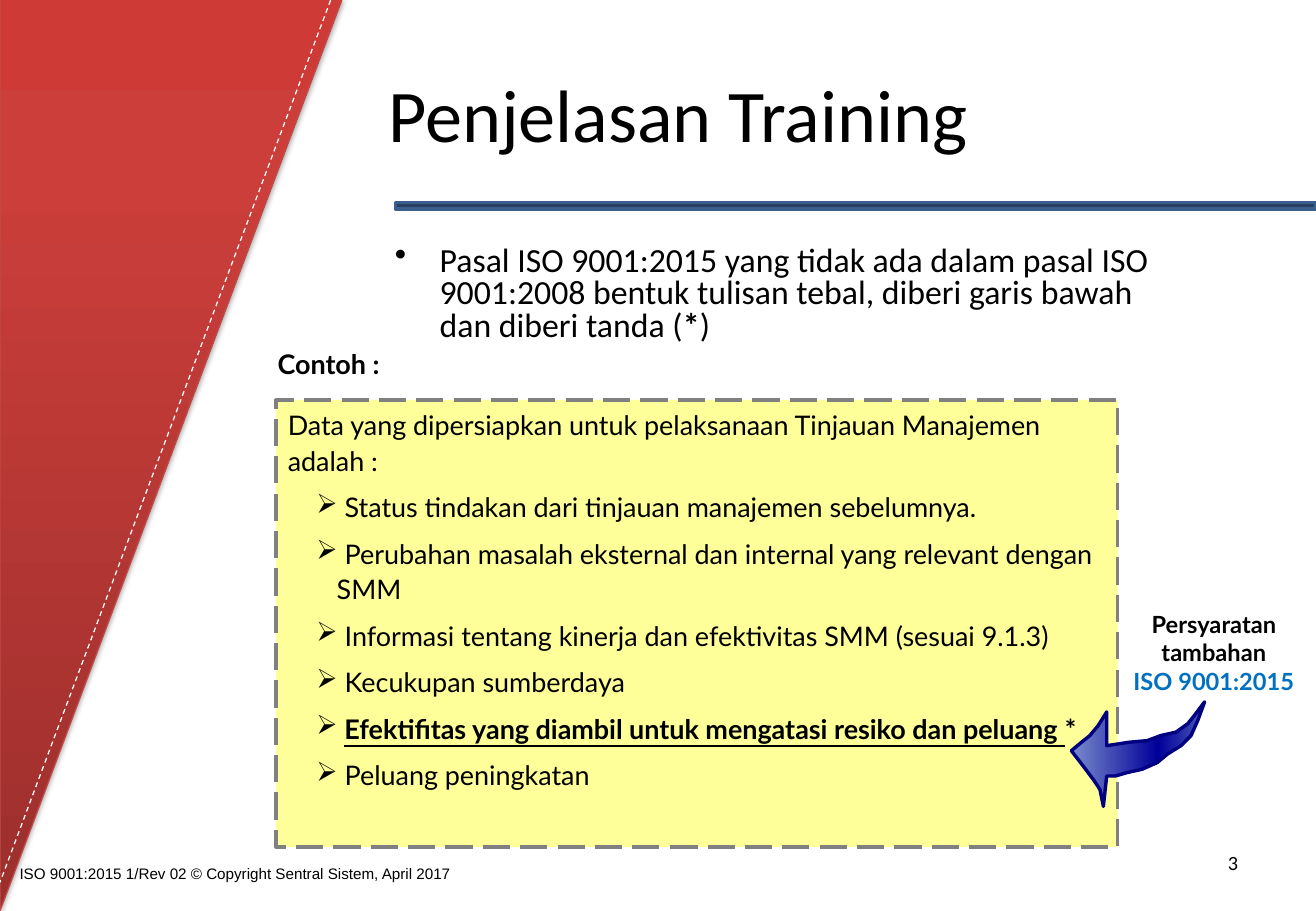
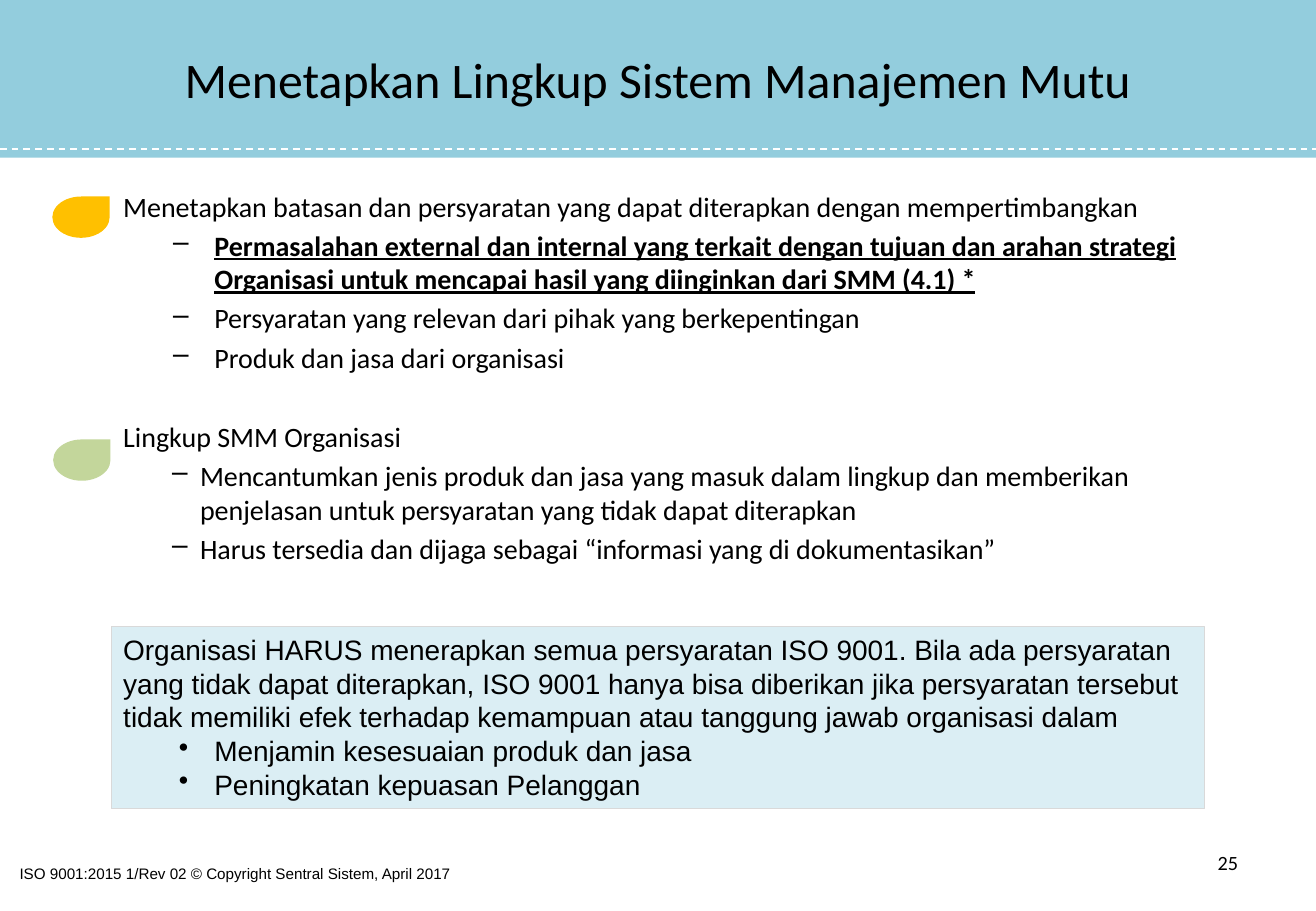
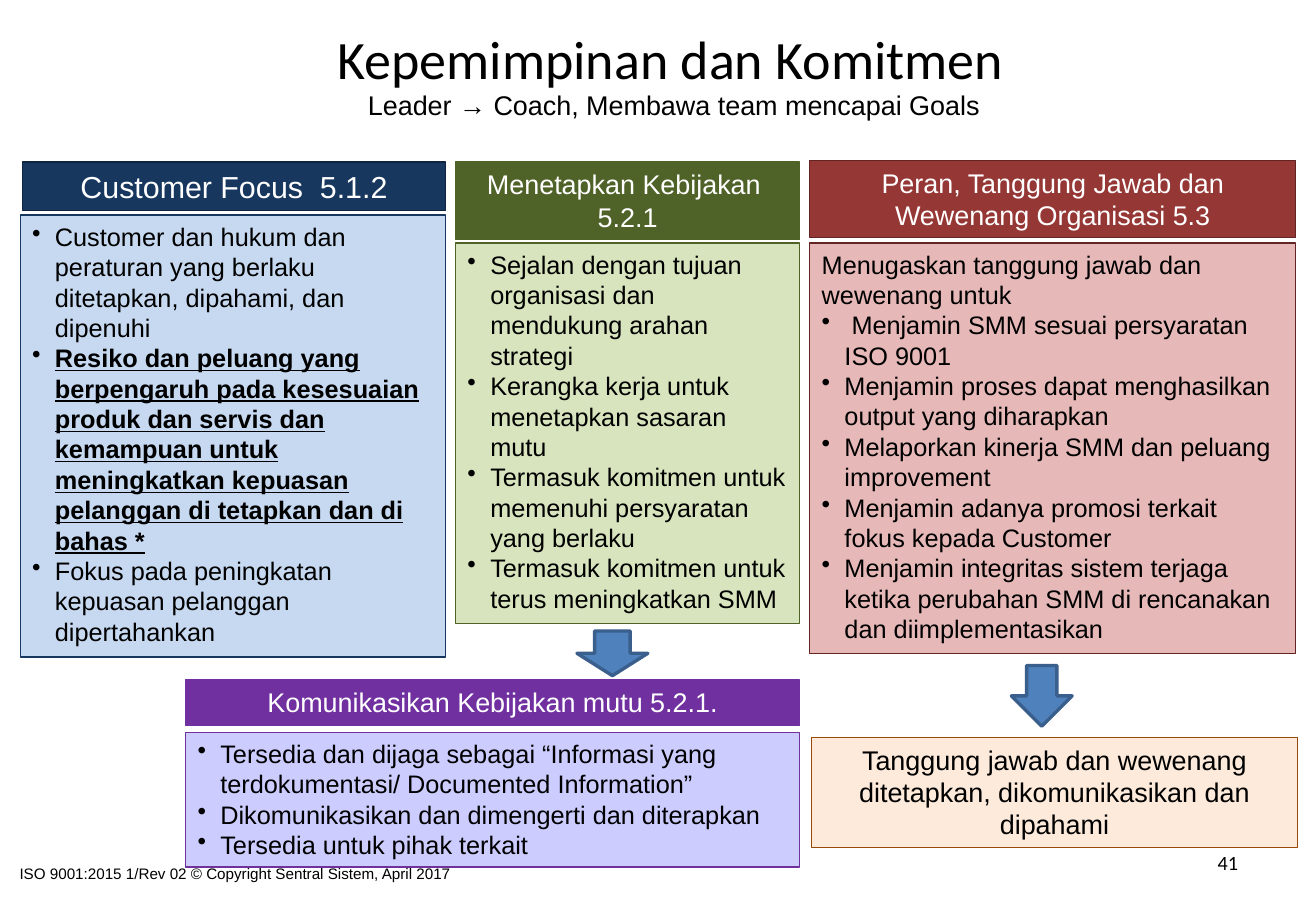
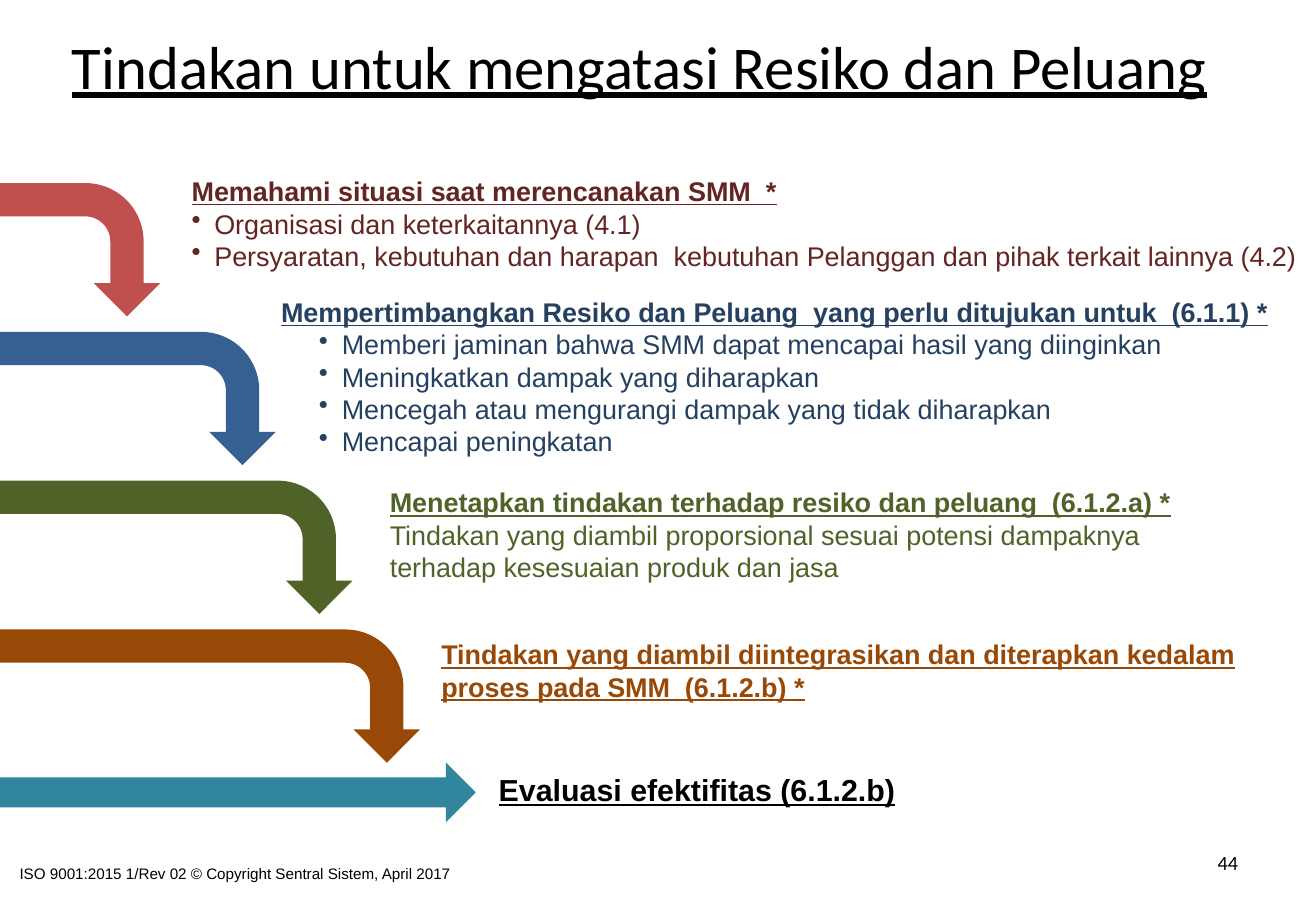
import pptx
import pptx.dml.color
import pptx.enum.dml
import pptx.enum.shapes
import pptx.enum.text
import pptx.oxml.ns
import pptx.util
from lxml import etree

Pt = pptx.util.Pt
qn = pptx.oxml.ns.qn
SHAPE = pptx.enum.shapes.MSO_SHAPE
DASH = pptx.enum.dml.MSO_LINE
MIDDLE = pptx.enum.text.MSO_ANCHOR.MIDDLE
LEFT, CENTER, RIGHT = (pptx.enum.text.PP_ALIGN.LEFT, pptx.enum.text.PP_ALIGN.CENTER,
                       pptx.enum.text.PP_ALIGN.RIGHT)

BLACK, WHITE = "000000", "FFFFFF"
BLUE, OLIVE, BROWN, NAVY = "17375E", "4F6228", "984807", "254061"
PURPLE, MAROON, STEEL = "7030A0", "632523", "3A5F8C"

# Bullets: character, left indent, hanging indent
DOT = ("•", 13.5, 13.5)
DOT_DEEP = ("•", 36, 13.5)
DOT_WIDE = ("•", 54, 21)
DOT_INTRO = ("•", 26.5, 26.5)
DASH_WIDE = ("–", 54, 24.5)
DASH_NARROW = ("–", 45.5, 16.5)
ARROW = ("➢", 29, 12)


def paint(fill, colour):
    fill.solid()
    fill.fore_color.rgb = pptx.dml.color.RGBColor.from_string(colour)


def box(slide, at, paragraphs, size, font="Arial", colour=BLACK, fill=None, line=None,
        align=LEFT, spacing=None, before=0):
    """Paragraphs are (text, style, bullet); "|" parts runs, style holds b and u."""
    place = [Pt(value) for value in at]
    if fill:
        shape = slide.shapes.add_shape(SHAPE.RECTANGLE, *place)
        shape.shadow.inherit = False
        paint(shape.fill, fill)
        if line:
            paint(shape.line.fill, line)
            shape.line.width = Pt(0.75)
        else:
            shape.line.fill.background()
    else:
        shape = slide.shapes.add_textbox(*place)
    frame = shape.text_frame
    frame.word_wrap = True
    frame.vertical_anchor = pptx.enum.text.MSO_ANCHOR.TOP
    for index, (text, style, bullet) in enumerate(paragraphs):
        paragraph = frame.add_paragraph() if index else frame.paragraphs[0]
        if bullet:
            char, left, hang = bullet
            properties = paragraph._p.get_or_add_pPr()
            properties.set("marL", str(Pt(left)))
            properties.set("indent", str(-Pt(hang)))
            etree.SubElement(properties, qn("a:buChar")).set("char", char)
        paragraph.alignment = align
        if spacing:
            paragraph.line_spacing = spacing
        if index and before:
            paragraph.space_before = Pt(before)
        styles = style.split("|")
        for part, piece in enumerate(text.split("|")):
            run = paragraph.add_run()
            run.text = piece
            run.font.name = font
            run.font.size = Pt(size)
            run.font.bold = "b" in styles[part]
            run.font.underline = "u" in styles[part]
            paint(run.font.fill, colour)
    return shape


deck = pptx.Presentation()
deck.slide_width, deck.slide_height = Pt(780), Pt(540)

# Footer, title and page number of every slide
slides = []
for number, title, size, style, at, band in [
    ("3", "Penjelasan Training", 44, "", (129, 27.5, 546, 78.5), None),
    ("25", "Menetapkan Lingkup Sistem Manajemen Mutu", 29.5, "", (0, 0, 780, 93.5), "93CDDD"),
    ("41", "Kepemimpinan dan Komitmen", 32, "", (150, -1.5, 495, 72), None),
    ("44", "Tindakan untuk mengatasi Resiko dan Peluang", 36, "u", (28, -6.5, 702, 90), None),
]:
    slide = deck.slides.add_slide(deck.slide_layouts[6])
    slides.append(slide)
    box(slide, (4.5, 508.5, 509, 21),
        [("ISO 9001:2015 1/Rev 02 © Copyright Sentral Sistem, April 2017", "", None)], 9)
    heading = box(slide, at, [(title, style, None)], size, "Calibri", fill=band, align=CENTER)
    heading.text_frame.vertical_anchor = MIDDLE
    box(slide, (558.5, 500.5, 182.5, 29), [(number, "", None)], 12, "Calibri", align=RIGHT)
training, scope, leadership, risk = slides

# Training: introduction and example
box(training, (227, 142.5, 485, 121), [
    ("Pasal ISO 9001:2015 yang tidak ada dalam pasal ISO 9001:2008 bentuk tulisan tebal, "
     "diberi garis bawah dan diberi tanda (|*|)", "|b|", DOT_INTRO),
], 20, "Calibri", spacing=0.8)
example = box(training, (163.5, 237, 499, 265), [
    ("Data yang dipersiapkan untuk pelaksanaan Tinjauan Manajemen adalah :", "", None),
    (" Status tindakan dari tinjauan manajemen sebelumnya.", "", ARROW),
    (" Perubahan masalah eksternal dan internal yang relevant dengan SMM", "", ARROW),
    (" Informasi tentang kinerja dan efektivitas SMM (sesuai 9.1.3)", "", ARROW),
    (" Kecukupan sumberdaya", "", ARROW),
    (" |Efektifitas yang diambil untuk mengatasi resiko dan peluang |*", "b|bu|b", ARROW),
    (" Peluang peningkatan", "", ARROW),
], 16, "Lato", fill="FFFF99", line="808080", spacing=1.1, before=6.4)
example.line.width = Pt(2)
example.line.dash_style = DASH.LONG_DASH
box(training, (157.5, 202.5, 101.5, 26.5), [("Contoh :", "b", None)], 16, "Lato")
extra = box(training, (659, 358, 121, 58), [
    ("Persyaratan", "b", None), ("tambahan", "b", None), ("ISO 9001:2015", "b", None),
], 14, "Lato", align=CENTER)
paint(extra.text_frame.paragraphs[2].runs[0].font.fill, "0070C0")

# Training: title rule
rule = training.shapes.add_shape(SHAPE.RECTANGLE, Pt(234.5), Pt(120), Pt(545.5), Pt(4))
rule.shadow.inherit = False
paint(rule.fill, NAVY)
paint(rule.line.fill, STEEL)
rule.line.width = Pt(2)

# Training: red side panel and curved arrow, both with gradients
panel_outline = [(0, -1), (203, -1), (0, 540)]
arrow_outline = [
    (713.5, 416), (710.5, 427), (706.5, 435.5), (700.5, 441.5), (692.5, 447), (685.5, 451.5),
    (677, 456), (667.5, 458.5), (661, 460), (656, 460), (654.5, 478), (651.5, 468.5),
    (648, 462), (642, 454.5), (635, 445), (641, 440.5), (646, 436.5), (651, 430.5),
    (656, 422.5), (656, 441.5), (669, 440.5), (679.5, 439), (688.5, 436.5), (697, 433.5),
    (703.5, 429), (708.5, 423.5),
]
outlined = []
for outline, angle, stops, line, width in [
    (panel_outline, 90, [(0, "9C2F2D"), (80, "CB3E3A"), (100, "CE3B37")], "BF4C48", 0.75),
    (arrow_outline, 0, [(0, "7A8CCC"), (65, "000099"), (100, "4C59B8")], "000080", 2),
]:
    builder = training.shapes.build_freeform(*outline[0], scale=Pt(1))
    builder.add_line_segments(outline[1:], close=True)
    shape = builder.convert_to_shape()
    shape.shadow.inherit = False
    shape.fill.gradient()
    shape.fill.gradient_angle = angle
    stop_list = shape._element.spPr.find(".//" + qn("a:gsLst"))
    for old_stop in list(stop_list):
        stop_list.remove(old_stop)
    for position, colour in stops:
        stop = etree.SubElement(stop_list, qn("a:gs"), pos=str(position * 1000))
        etree.SubElement(stop, qn("a:srgbClr"), val=colour)
    paint(shape.line.fill, line)
    shape.line.width = Pt(width)
    outlined.append(shape)
effects = outlined[0]._element.spPr.find(qn("a:effectLst"))
shadow = etree.SubElement(effects, qn("a:outerShdw"), blurRad=str(Pt(3.1)),
                          dist=str(Pt(1.8)), dir="5400000", rotWithShape="0")
shade = etree.SubElement(shadow, qn("a:srgbClr"), val=BLACK)
etree.SubElement(shade, qn("a:alpha"), val="35000")

# Scope: considerations
considerations = box(scope, (66, 108.5, 648, 329), [
    ("Menetapkan batasan dan persyaratan yang dapat diterapkan dengan mempertimbangkan",
     "", None),
    ("Permasalahan external dan internal yang terkait dengan tujuan dan arahan strategi "
     "Organisasi untuk mencapai hasil yang diinginkan dari SMM (4.1) *", "bu", DASH_WIDE),
    ("Persyaratan yang relevan dari pihak yang berkepentingan", "", DASH_WIDE),
    ("Produk dan jasa dari organisasi", "", DASH_WIDE),
    ("Lingkup SMM Organisasi", "", None),
    ("Mencantumkan jenis produk dan jasa yang masuk dalam lingkup dan memberikan "
     "penjelasan untuk persyaratan yang tidak dapat diterapkan", "", DASH_NARROW),
    ("Harus tersedia dan dijaga sebagai “informasi yang di dokumentasikan”", "", DASH_NARROW),
], 16.6, "Calibri", before=3.3)
considerations.text_frame.paragraphs[4].space_before = Pt(27)

# Scope: obligation
box(scope, (66, 371.5, 648, 108), [
    ("Organisasi HARUS menerapkan semua persyaratan ISO 9001. Bila ada persyaratan yang "
     "tidak dapat diterapkan, ISO 9001 hanya bisa diberikan jika persyaratan tersebut tidak "
     "memiliki efek terhadap kemampuan atau tanggung jawab organisasi dalam", "", None),
    ("Menjamin kesesuaian produk dan jasa", "", DOT_WIDE),
    ("Peningkatan kepuasan Pelanggan", "", DOT_WIDE),
], 16.6, fill="DBEEF4", line="D9D9D9")

# Scope: drop markers
for left, top, colour in [(31, 116.5, "FFC000"), (31.5, 260.5, "C3D69B")]:
    drop = scope.shapes.add_shape(SHAPE.TEAR, Pt(left), Pt(top), Pt(34), Pt(24.5))
    drop.shadow.inherit = False
    paint(drop.fill, colour)
    drop.line.fill.background()

# Dashed white seams on the side panel and the title band
for slide, ends, width in [(training, (196, 0, 0, 523), 0.75), (scope, (0, 88.5, 780, 88.5), 1)]:
    seam = slide.shapes.add_connector(pptx.enum.shapes.MSO_CONNECTOR.STRAIGHT,
                                      *[Pt(value) for value in ends])
    paint(seam.line.fill, WHITE)
    seam.line.width = Pt(width)
    seam.line.dash_style = DASH.DASH
    etree.SubElement(seam._element.spPr, qn("a:effectLst"))

# Leadership: subtitle
box(leadership, (174, 49, 451, 26.5),
    [("Leader → Coach, Membawa team mencapai Goals", "", None)], 16, align=CENTER)

# Leadership: cards
for at, fill, line, points in [
    ((12, 127.5, 252, 262), "C6D9F1", BLUE, [
        ("Customer dan hukum dan peraturan yang berlaku ditetapkan, dipahami, dan dipenuhi",
         "", DOT),
        ("Resiko dan peluang yang berpengaruh pada kesesuaian produk dan servis dan kemampuan "
         "untuk meningkatkan kepuasan pelanggan di tetapkan dan di bahas *", "bu", DOT),
        ("Fokus pada peningkatan kepuasan pelanggan dipertahankan", "", DOT),
    ]),
    ((270, 144, 204, 225.5), "D7E4BD", OLIVE, [
        ("Sejalan dengan tujuan organisasi dan mendukung arahan strategi", "", DOT),
        ("Kerangka kerja untuk menetapkan sasaran mutu", "", DOT),
        ("Termasuk komitmen untuk memenuhi persyaratan yang berlaku", "", DOT),
        ("Termasuk komitmen untuk terus meningkatkan SMM", "", DOT),
    ]),
    ((110, 434, 364, 80), "CCCCFF", PURPLE, [
        ("Tersedia dan dijaga sebagai “Informasi yang terdokumentasi/ Documented Information”",
         "", DOT),
        ("Dikomunikasikan dan dimengerti dan diterapkan", "", DOT),
        ("Tersedia untuk pihak terkait", "", DOT),
    ]),
    ((480, 144, 288, 243.5), "E6B9B8", MAROON, [
        ("Menugaskan tanggung jawab dan wewenang untuk", "", None),
        (" Menjamin SMM sesuai persyaratan ISO 9001", "", DOT),
        ("Menjamin proses dapat menghasilkan output yang diharapkan", "", DOT),
        ("Melaporkan kinerja SMM dan peluang improvement", "", DOT),
        ("Menjamin adanya promosi terkait fokus kepada Customer", "", DOT),
        ("Menjamin integritas sistem terjaga ketika perubahan SMM di rencanakan dan "
         "diimplementasikan", "", DOT),
    ]),
]:
    box(leadership, at, points, 15, fill=fill, line=line)

# Leadership: card headings and outcome
for at, fill, line, colour, size, text in [
    ((13.5, 96, 250.5, 29), BLUE, "0F243E", WHITE, 18, "Customer Focus  5.1.2"),
    ((270, 96, 204, 46), OLIVE, OLIVE, WHITE, 16, "Menetapkan Kebijakan  5.2.1"),
    ((480, 95, 288, 46), "953735", MAROON, WHITE, 16,
     "Peran, Tanggung Jawab dan Wewenang Organisasi 5.3"),
    ((110, 403, 364, 27), PURPLE, PURPLE, WHITE, 16, "Komunikasikan Kebijakan mutu 5.2.1."),
    ((481, 437, 288, 65.5), "FDEADA", BROWN, BLACK, 16,
     "Tanggung jawab dan wewenang ditetapkan, dikomunikasikan dan dipahami"),
]:
    box(leadership, at, [(text, "", None)], size, colour=colour, fill=fill, line=line,
        align=CENTER)

# Leadership: arrows between cards
for at in [(342, 374, 42, 26.5), (599.5, 394.5, 36, 36)]:
    step = leadership.shapes.add_shape(SHAPE.DOWN_ARROW, *[Pt(value) for value in at])
    step.shadow.inherit = False
    paint(step.fill, "4F81BD")
    paint(step.line.fill, STEEL)
    step.line.width = Pt(2)

# Risk: stages
for at, colour, size, lines in [
    ((106.5, 100, 673, 65.5), MAROON, 16, [
        ("Memahami situasi saat merencanakan SMM  *", "bu", None),
        ("Organisasi dan keterkaitannya (4.1)", "", DOT),
        ("Persyaratan, kebutuhan dan harapan  kebutuhan Pelanggan dan pihak terkait lainnya "
         "(4.2)", "", DOT),
    ]),
    ((159.5, 171.5, 615, 104.5), NAVY, 16, [
        ("Mempertimbangkan Resiko dan Peluang  yang perlu ditujukan untuk  (6.1.1) *",
         "bu", None),
        ("Memberi jaminan bahwa SMM dapat mencapai hasil yang diinginkan", "", DOT_DEEP),
        ("Meningkatkan dampak yang diharapkan", "", DOT_DEEP),
        ("Mencegah atau mengurangi dampak yang tidak diharapkan", "", DOT_DEEP),
        ("Mencapai peningkatan", "", DOT_DEEP),
    ]),
    ((224, 284.5, 540, 67.5), OLIVE, 16, [
        ("Menetapkan tindakan terhadap resiko dan peluang  (6.1.2.a) *", "bu", None),
        ("Tindakan yang diambil proporsional sesuai potensi dampaknya", "", None),
        ("terhadap kesesuaian produk dan jasa", "", None),
    ]),
    ((254.5, 374.5, 525, 46), BROWN, 16, [
        ("Tindakan yang diambil diintegrasikan dan diterapkan kedalam proses pada SMM  "
         "(6.1.2.b) *", "bu", None),
    ]),
    ((288.5, 453.5, 260, 29), BLACK, 18, [("Evaluasi efektifitas (6.1.2.b)", "bu", None)]),
]:
    box(risk, at, lines, size, colour=colour)

# Risk: bent arrows from the left edge, turned a quarter, then the final arrow
arm, pitch = 79, 88.2
stage_arrows = []
for index, (reach, colour) in enumerate(
        [(95, "C0504D"), (163.5, "376092"), (209, OLIVE), (249, BROWN)]):
    centre = 108.5 + index * pitch + arm / 2
    bend = risk.shapes.add_shape(SHAPE.BENT_ARROW, Pt((reach - arm) / 2),
                                 Pt(centre - reach / 2), Pt(arm), Pt(reach))
    bend.rotation = 90
    stage_arrows.append((bend, colour))
final = risk.shapes.add_shape(SHAPE.RIGHT_ARROW, Pt(0), Pt(452), Pt(282), Pt(35.5))
for arrow, colour in stage_arrows + [(final, "31859C")]:
    arrow.shadow.inherit = False
    paint(arrow.fill, colour)
    arrow.line.fill.background()

deck.save("out.pptx")
